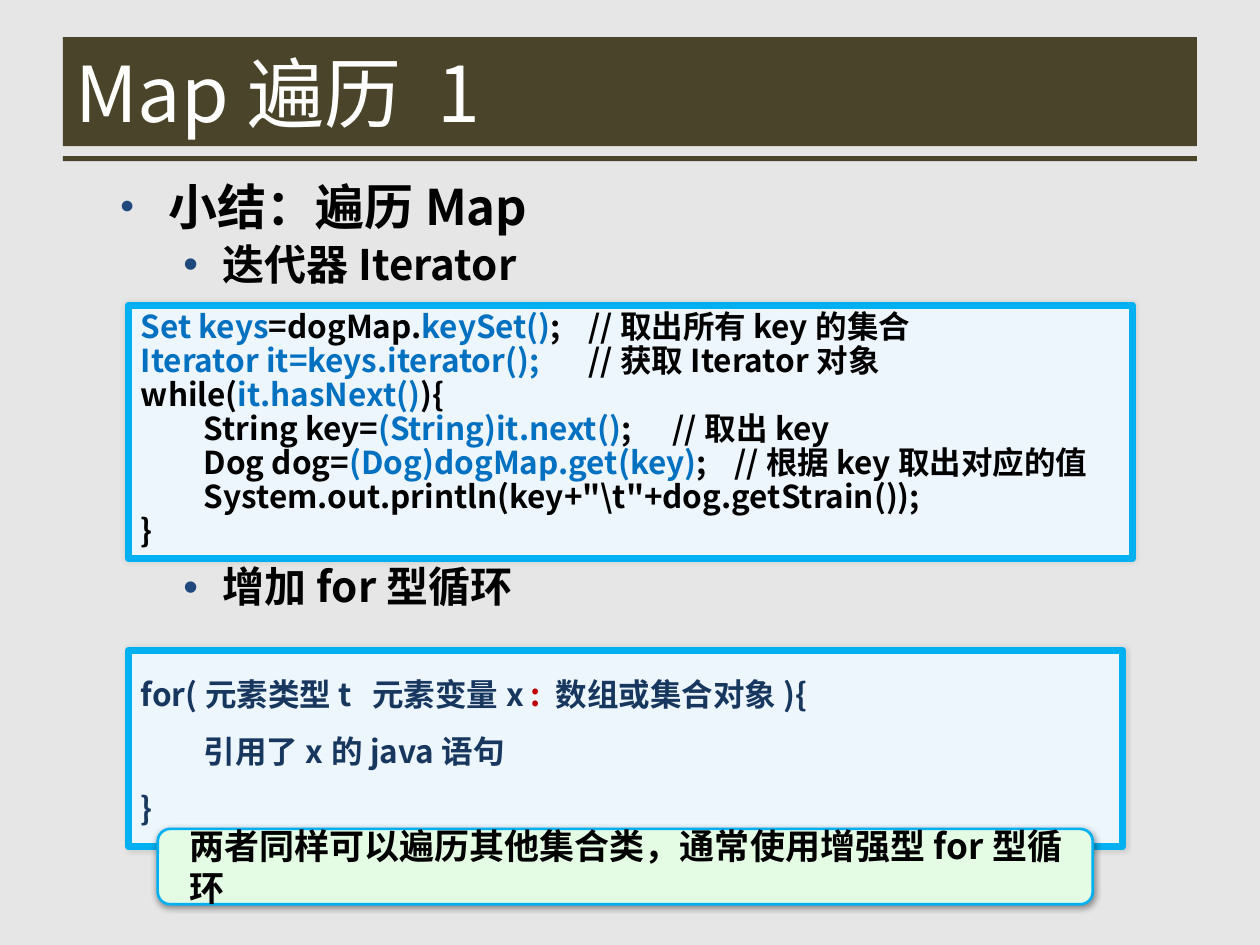
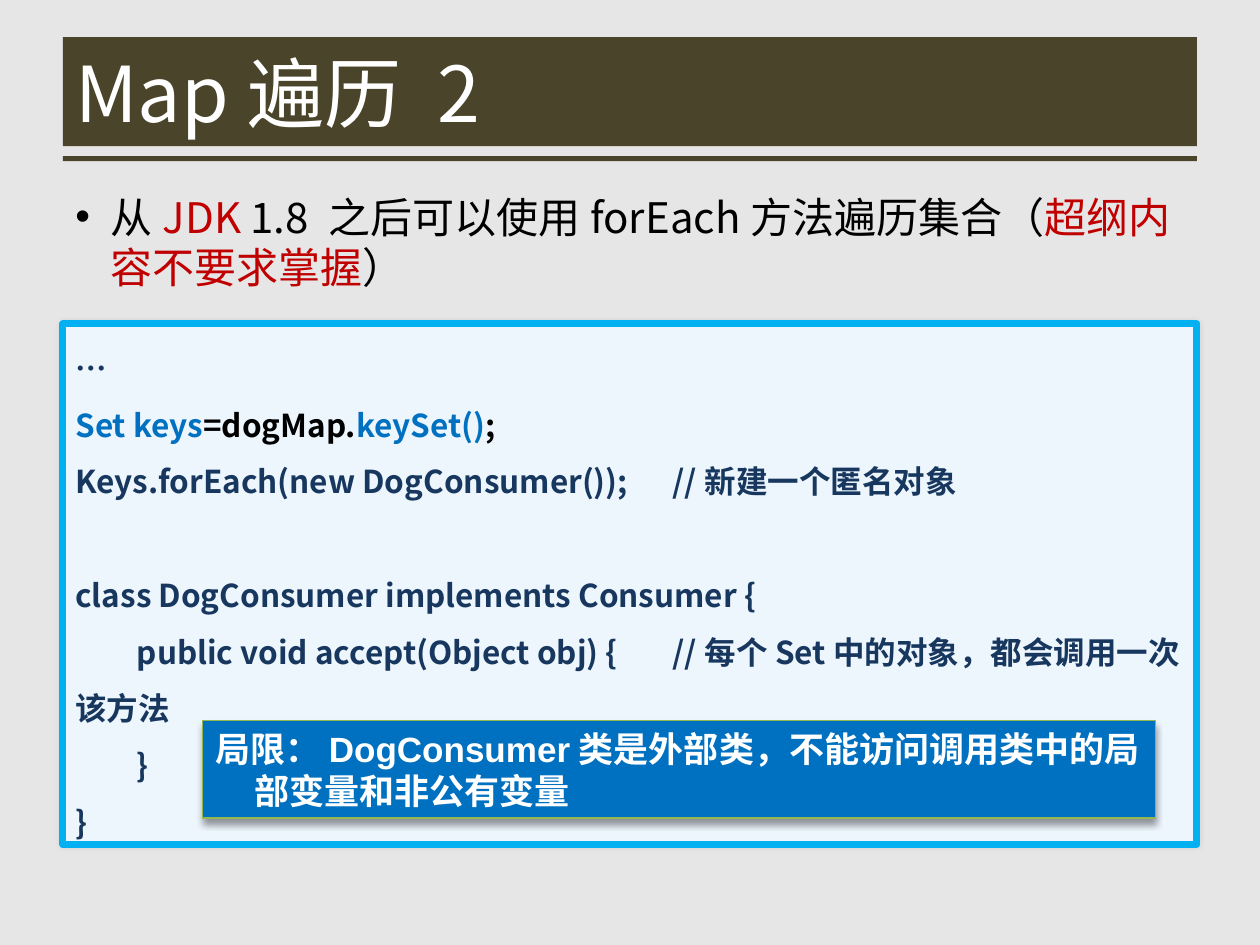
from lxml import etree
from pptx import Presentation
from pptx import util as u
from pptx.dml import color as dml
from pptx.enum import shapes, text
from pptx.oxml import ns

CJK = "Noto Sans CJK SC"
OLIVE, PAPER, WHITE, BLACK = "4A452A", "E7E6E6", "FFFFFF", "000000"
BLUE, NAVY, RED, BULLET = "0070C0", "17375E", "C00000", "1F497D"
CODE_FILL, CYAN, MINT, GREEN = "EDF5FD", "00B0F0", "E4FCE4", "95B74F"

CODE_FONT = {"size": u.Pt(18), "bold": True}
NOTE_FONT = {"size": u.Pt(20), "bold": True}
KEY_SET = [("Set keys", BLUE), ("=dogMap.", BLACK), ("keySet()", BLUE), (";", BLACK)]


def rgb(value):
    return dml.RGBColor.from_string(value)


def assign(target, values):
    for name, value in values.items():
        setattr(target, name, value)


def add_node(parent, tag, **values):
    node = etree.SubElement(parent, ns.qn(tag))
    for name, value in values.items():
        node.set(name, str(value))
    return node


def place(left, top, width, height):
    return [u.Cm(value) for value in (left, top, width, height)]


def add_shadow(box, alpha, blur, distance, angle):
    effects = box._element.spPr.find(ns.qn("a:effectLst"))
    shadow = add_node(effects, "a:outerShdw", blurRad=u.Pt(blur), dist=u.Pt(distance),
                      dir=angle * 60000, algn="ctr", rotWithShape=0)
    tint = add_node(shadow, "a:srgbClr", val=BLACK)
    add_node(tint, "a:alpha", val=alpha * 1000)


def add_panel(page, area, fill, line=None, width=0, corner=None, shadow=None):
    kind = shapes.MSO_SHAPE.RECTANGLE if corner is None else shapes.MSO_SHAPE.ROUNDED_RECTANGLE
    box = page.shapes.add_shape(kind, *place(*area))
    box.shadow.inherit = False
    box.fill.solid()
    box.fill.fore_color.rgb = rgb(fill)
    if line:
        box.line.color.rgb = rgb(line)
        box.line.width = u.Pt(width)
    else:
        box.line.fill.background()
    if corner is not None:
        box.adjustments[0] = corner
    if shadow:
        add_shadow(box, *shadow)
    box.text_frame.word_wrap = True
    return box


def add_text_box(page, area):
    box = page.shapes.add_textbox(*place(*area))
    box.text_frame.word_wrap = True
    return box


def add_para(box, spans, font, color, face=CJK, layout=None, indent=None, bullet=None, tabs=()):
    frame = box.text_frame
    first = frame.paragraphs[0]
    para = frame.add_paragraph() if first.runs else first
    assign(para, {"alignment": text.PP_ALIGN.LEFT, **(layout or {})})
    props = para._p.get_or_add_pPr()
    if indent:
        left, hanging = indent
        props.set("marL", str(u.Cm(left)))
        props.set("indent", str(-u.Cm(hanging)))
    if bullet:
        tint, percent = bullet
        add_node(add_node(props, "a:buClr"), "a:srgbClr", val=tint)
        add_node(props, "a:buSzPct", val=percent * 1000)
        add_node(props, "a:buFont", typeface="Arial")
        add_node(props, "a:buChar", char="•")
    if tabs:
        stops = add_node(props, "a:tabLst")
        for stop in tabs:
            add_node(stops, "a:tab", pos=u.Cm(stop), algn="l")
    for words, tint in spans:
        span = para.add_run()
        span.text = words
        assign(span.font, {"name": face, **font})
        span.font.color.rgb = rgb(tint or color)
        add_node(span._r.get_or_add_rPr(), "a:ea", typeface=CJK)


def plain(words):
    return [(words, None)]


def add_page(deck, title):
    page = deck.slides.add_slide(deck.slide_layouts[6])
    page.background.fill.solid()
    page.background.fill.fore_color.rgb = rgb(PAPER)
    add_panel(page, (1.27, 0.75, 22.86, 2.2), OLIVE)
    add_panel(page, (1.27, 3.15, 22.86, 0.1), OLIVE)
    box = add_text_box(page, (1.27, 0.75, 22.86, 2.2))
    box.text_frame.vertical_anchor = text.MSO_ANCHOR.MIDDLE
    add_para(box, plain(title), {"size": u.Pt(44)}, WHITE)
    return page


def add_code(page, area, lines, color, spacing, tabs, gaps=None):
    box = add_panel(page, area, CODE_FILL, CYAN, 4, 0, (10, 3, 0, 0))
    box.text_frame.vertical_anchor = text.MSO_ANCHOR.TOP
    for index, spans in enumerate(lines):
        layout = {"line_spacing": spacing, "space_before": u.Pt((gaps or {}).get(index, 0))}
        add_para(box, spans, CODE_FONT, color, layout=layout, tabs=tabs)


def add_summary(page):
    box = add_text_box(page, (2.18, 3.56, 21.23, 1.42))
    items = [
        ("小结：遍历Map", 28, (0.97, 0.97), 80, 5.6),
        ("迭代器Iterator", 24, (2.06, 0.79), 100, 4.8),
        ("增加for型循环", 24, (2.06, 0.79), 100, 158.3),
    ]
    for words, size, indent, percent, before in items:
        add_para(box, plain(words), {"size": u.Pt(size), "bold": True}, BLACK,
                 layout={"line_spacing": 0.9, "space_before": u.Pt(before)},
                 indent=indent, bullet=(BULLET, percent))


def build_iterator_page(deck):
    page = add_page(deck, "Map遍历 1")
    iterator_lines = [
        KEY_SET + plain("\t//取出所有key的集合"),
        [("Iterator it=keys.iterator();", BLUE), ("\t//获取Iterator对象", None)],
        [("while(", None), ("it.hasNext()", BLUE), ("){", None)],
        [("\tString key=", None), ("(String)it.next()", BLUE), (";\t//取出key", None)],
        [("\tDog dog=", None), ("(Dog)dogMap.get(key)", BLUE),
         (";\t//根据key取出对应的值", None)],
        plain('\tSystem.out.println(key+"\\t"+dog.getStrain());'),
        plain("}"),
    ]
    add_code(page, (2.59, 6.15, 20.24, 5.11), iterator_lines, BLACK, 0.9,
             (1.27, 9.02, 10.72, 11.96))
    add_summary(page)
    loop_lines = [
        [("for(元素类型t\t元素变量x ", None), (": ", RED), ("数组或集合对象){", None)],
        plain("\t引用了x的java语句"),
        plain("}"),
    ]
    add_code(page, (2.59, 13.11, 20.04, 3.96), loop_lines, NAVY, 1.5, (1.27, 4.67))
    note = add_panel(page, (3.18, 16.71, 18.85, 1.52), MINT, CYAN, 1.5, 0.167, (40, 4, 1, 90))
    assign(note.text_frame, {"vertical_anchor": text.MSO_ANCHOR.MIDDLE,
                             "margin_left": u.Cm(0.56)})
    add_para(note, plain("两者同样可以遍历其他集合类，通常使用增强型for型循环"), NOTE_FONT, BLACK)


def build_for_each_page(deck):
    page = add_page(deck, "Map遍历 2")
    intro = add_text_box(page, (1.27, 3.73, 22.86, 13.28))
    spans = [("从", None), ("JDK", RED), (" 1.8 之后可以使用forEach方法遍历集合（", None),
             ("超纲内容不要求掌握", RED), ("）", None)]
    add_para(intro, spans, {"size": u.Pt(24)}, BLACK, layout={"space_before": u.Pt(4.8)},
             indent=(0.71, 0.71), bullet=(BLACK, 100))
    consumer_lines = [
        plain("…"),
        KEY_SET,
        plain("Keys.forEach(new DogConsumer());\t//新建一个匿名对象"),
        plain("class DogConsumer implements Consumer {"),
        plain("\tpublic void accept(Object obj) {\t//每个Set中的对象，都会调用一次该方法"),
        plain("\t}"),
        plain("}"),
    ]
    add_code(page, (1.27, 6.53, 22.86, 10.49), consumer_lines, NAVY, 1.5, (1.24, 12.04),
             gaps={3: 32.5})
    note = add_panel(page, (4.09, 14.53, 19.2, 1.96), BLUE, GREEN, 0.75, 0, (40, 4, 3, 90))
    note.text_frame.vertical_anchor = text.MSO_ANCHOR.BOTTOM
    add_para(note, plain("局限：DogConsumer类是外部类，不能访问调用类中的局部变量和非公有变量"),
             NOTE_FONT, WHITE, face="Arial", layout={"space_before": u.Pt(4)},
             indent=(0.79, 0.79))


def main():
    deck = Presentation()
    assign(deck, {"slide_width": u.Cm(25.4), "slide_height": u.Cm(19.05)})
    build_iterator_page(deck)
    build_for_each_page(deck)
    deck.save("out.pptx")


if __name__ == "__main__":
    main()
